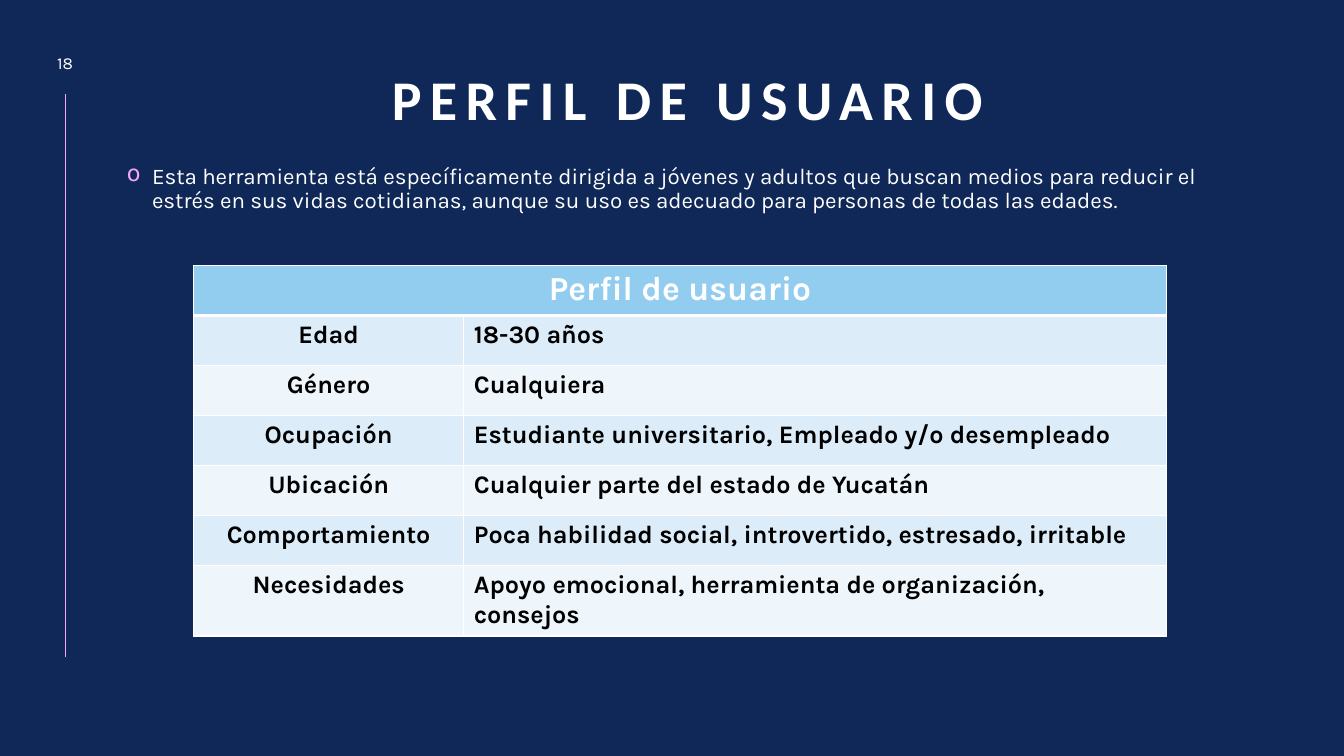
from lxml.etree import SubElement
from pptx import Presentation
from pptx.dml.color import RGBColor
from pptx.enum.shapes import MSO_CONNECTOR
from pptx.enum.text import MSO_ANCHOR, PP_ALIGN
from pptx.oxml.ns import qn
from pptx.util import Inches, Pt

COLORS = {
    "navy": "102857",
    "white": "FFFFFF",
    "black": "000000",
    "pink": "F6A6F4",
    "head": "92CDF0",
    "odd": "DCEDF9",
    "even": "EEF6FC",
}

INTRO = (
    "Esta herramienta está específicamente dirigida a jóvenes y adultos "
    "que buscan medios para reducir el estrés en sus vidas cotidianas, "
    "aunque su uso es adecuado para personas de todas las edades."
)

PROFILE = [
    ("Edad", "18-30 años"),
    ("Género", "Cualquiera"),
    ("Ocupación", "Estudiante universitario, Empleado y/o desempleado"),
    ("Ubicación", "Cualquier parte del estado de Yucatán"),
    ("Comportamiento", "Poca habilidad social, introvertido, estresado, irritable"),
    ("Necesidades", "Apoyo emocional, herramienta de organización, consejos"),
]


def color(name):
    return RGBColor.from_string(COLORS[name])


def add_run(para, text, size, tint="white", bold=False, face="Karla"):
    run = para.add_run()
    run.text = text
    font = run.font
    font.size, font.bold, font.name = Pt(size), bold, face
    font.color.rgb = color(tint)
    return run


def add_box(slide, place, anchor, align):
    frame = slide.shapes.add_textbox(*map(Inches, place)).text_frame
    frame.word_wrap = True
    frame.vertical_anchor = anchor
    para = frame.paragraphs[0]
    para.alignment = align
    return para


def add_title(slide, text):
    para = add_box(slide, (0.87, 0.2, 11.9, 1.17), MSO_ANCHOR.BOTTOM, PP_ALIGN.CENTER)
    para.line_spacing = 0.9
    run = add_run(para, text, 40, bold=True, face="Calibri")
    run.font._element.set("spc", "600")


def add_bullet(slide, text):
    para = add_box(slide, (1.16, 1.59, 11.3, 3.88), MSO_ANCHOR.TOP, PP_ALIGN.LEFT)
    para.line_spacing = 0.9
    props = para._p.get_or_add_pPr()
    props.set("marL", str(Inches(0.25)))
    props.set("indent", str(-Inches(0.25)))
    tint = SubElement(props, qn("a:buClr"))
    SubElement(tint, qn("a:srgbClr"), val=COLORS["pink"])
    SubElement(props, qn("a:buChar"), char="o")
    add_run(para, text, 16)


def add_rule(slide):
    ends = map(Inches, (0.65, 0.93, 0.65, 6.52))
    rule = slide.shapes.add_connector(MSO_CONNECTOR.STRAIGHT, *ends)
    rule.line.color.rgb = color("pink")
    rule.line.width = Pt(0.5)
    SubElement(rule._element.spPr, qn("a:effectLst"))


def set_cell(cell, fill, base=1, top=1):
    props = cell._tc.get_or_add_tcPr()
    for side, width in (("L", 1), ("R", 1), ("T", top), ("B", base)):
        edge = SubElement(props, qn(f"a:ln{side}"), w=str(Pt(width)))
        paint = SubElement(edge, qn("a:solidFill"))
        SubElement(paint, qn("a:srgbClr"), val=COLORS["white"])
    cell.fill.solid()
    cell.fill.fore_color.rgb = color(fill)


def fill_cell(cell, text, size, tint, align):
    para = cell.text_frame.paragraphs[0]
    para.alignment = align
    add_run(para, text, size, tint, bold=True)


def add_profile(slide):
    place = map(Inches, (1.92, 2.63, 9.65, 3.47))
    table = slide.shapes.add_table(len(PROFILE) + 1, 2, *place).table
    table.horz_banding = False
    for col, width in zip(table.columns, (2.68, 6.97)):
        col.width = Inches(width)
    for cell in table.rows[0].cells:
        set_cell(cell, "head", base=3)
    table.cell(0, 0).merge(table.cell(0, 1))
    fill_cell(table.cell(0, 0), "Perfil de usuario", 24, "white", PP_ALIGN.CENTER)
    for row, texts in enumerate(PROFILE, 1):
        fill = "odd" if row % 2 else "even"
        for col, align in enumerate((PP_ALIGN.CENTER, PP_ALIGN.LEFT)):
            cell = table.cell(row, col)
            set_cell(cell, fill, top=3 if row == 1 else 1)
            fill_cell(cell, texts[col], 18, "black", align)


def main():
    deck = Presentation()
    deck.slide_width, deck.slide_height = Inches(13.33), Inches(7.5)
    slide = deck.slides.add_slide(deck.slide_layouts[6])
    slide.background.fill.solid()
    slide.background.fill.fore_color.rgb = color("navy")
    add_rule(slide)
    add_title(slide, "PERFIL DE USUARIO")
    add_bullet(slide, INTRO)
    page = add_box(slide, (0.36, 0.45, 0.57, 0.34), MSO_ANCHOR.MIDDLE, PP_ALIGN.CENTER)
    add_run(page, "18", 12)
    add_profile(slide)
    deck.save("out.pptx")


if __name__ == "__main__":
    main()
